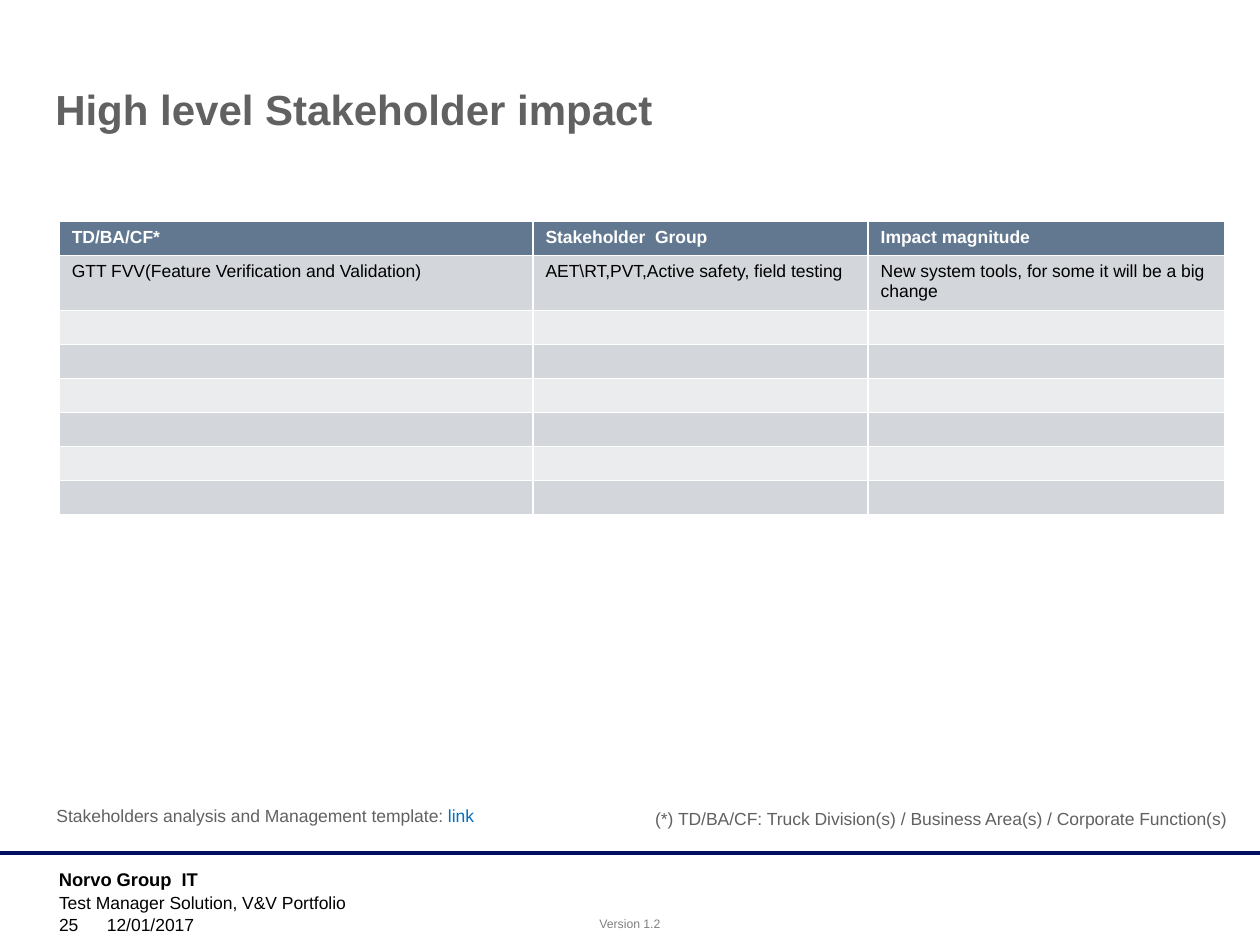
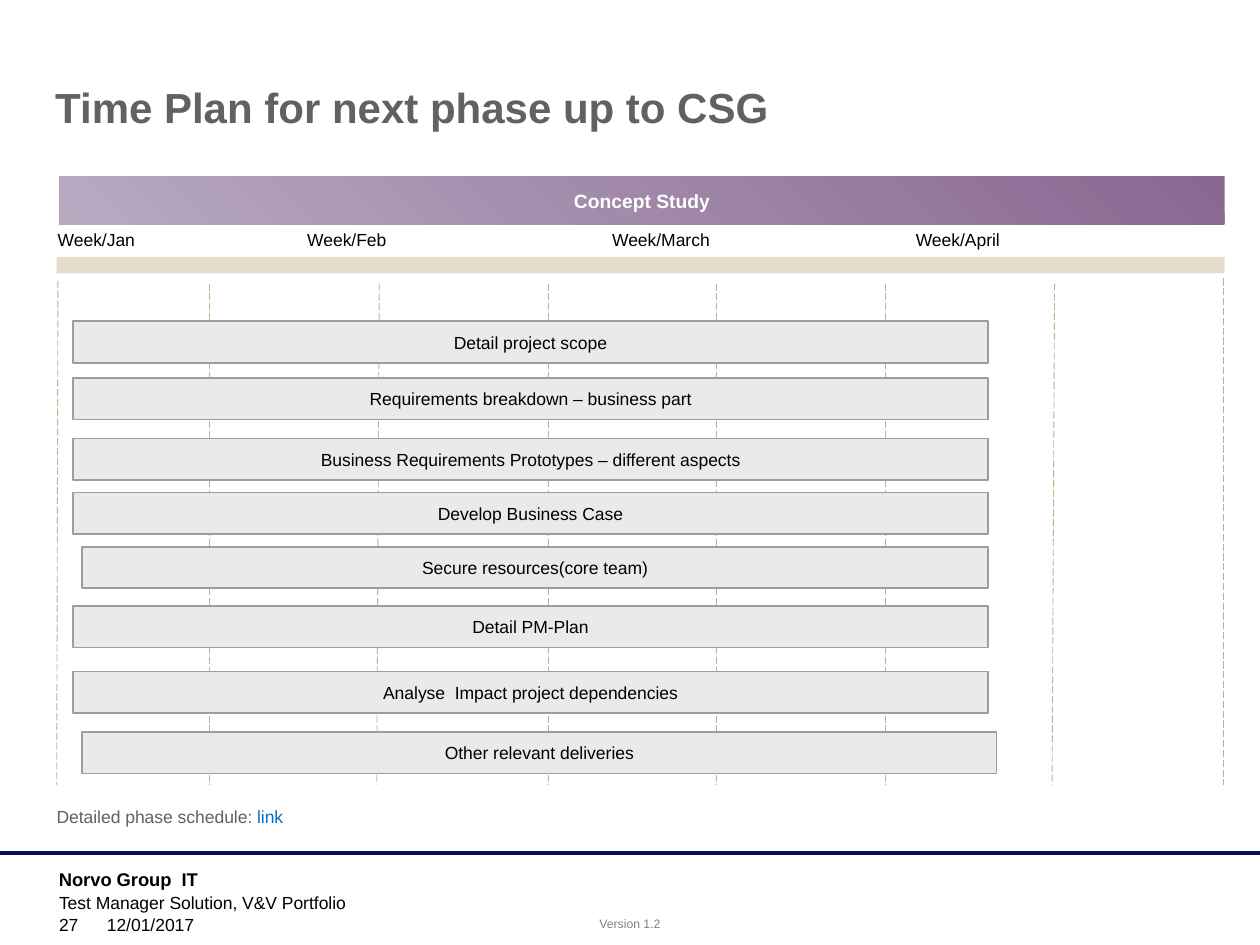
"""Build two project slides: a stakeholder impact table and a phase time plan."""
from lxml.etree import SubElement
from pptx import Presentation
from pptx.dml.color import RGBColor
from pptx.enum.dml import MSO_LINE
from pptx.enum.shapes import MSO_CONNECTOR, MSO_SHAPE
from pptx.enum.text import MSO_ANCHOR, PP_ALIGN
from pptx.oxml.ns import qn
from pptx.util import Inches, Pt

FONT = "Arial"
BLACK, WHITE, GREY, LINK = "000000", "FFFFFF", "616161", "0070C0"
NAVY, VERSION_GREY = "000F60", "808080"
HEADER_FILL, ROW_FILLS = "627890", ("D3D6DB", "EAECEE")
PHASE_COLOURS = ("B8A9C1", "8A6791")
TIMELINE_FILL, GUIDE_COLOUR = "E6DCCC", "C7B18B"
BAR_FILL, BAR_LINE = "EAEAEA", "9D9E9C"

COLUMN_WIDTHS = (3.76, 2.66, 2.83)
ROW_HEIGHTS = (0.27, 0.43) + (0.27,) * 6
STAKEHOLDERS = [
    ("TD/BA/CF*", "Stakeholder  Group", "Impact magnitude"),
    (
        "GTT FVV(Feature Verification and Validation)",
        "AET\\RT,PVT,Active safety, field testing",
        "New system tools, for some it will be a big change",
    ),
]
FOOTNOTE = "(*) TD/BA/CF: Truck Division(s) / Business Area(s) / Corporate Function(s)"

MONTHS = [
    ("Week/Jan", 0.36, 0.82),
    ("Week/Feb", 2.34, 0.84),
    ("Week/March", 4.76, 0.99),
    ("Week/April", 7.17, 0.92),
]
GUIDE_BOTTOM = 6.23
GUIDES = [
    (0.46, 2.23, 0.45),
    (1.66, 2.25, 1.66),
    (3.01, 2.25, 2.99),
    (4.35, 2.25, 4.35),
    (5.69, 2.25, 5.69),
    (7.03, 2.25, 7.03),
    (8.37, 2.25, 8.35),
    (9.71, 2.21, 9.71),
]
BAR_HEIGHT = 0.33
ACTIVITIES = [
    ("Detail project scope", 0.58, 2.55, 7.26),
    ("Requirements breakdown – business part", 0.58, 3.0, 7.26),
    ("Business Requirements Prototypes – different aspects", 0.58, 3.48, 7.26),
    ("Develop Business Case", 0.58, 3.91, 7.26),
    ("Secure resources(core team)", 0.65, 4.34, 7.19),
    ("Detail PM-Plan", 0.58, 4.81, 7.26),
    ("Analyse  Impact project dependencies", 0.58, 5.33, 7.26),
    ("Other relevant deliveries", 0.65, 5.81, 7.26),
]


def colour(value):
    """Turn a hex string into a colour."""
    return RGBColor.from_string(value)


def write(frame, *parts, size=10, ink=BLACK, bold=False, align=PP_ALIGN.LEFT,
          anchor=MSO_ANCHOR.TOP, wrap=True, before=0):
    """Write one paragraph; a part is a text or a (text, ink) pair."""
    frame.word_wrap = wrap
    frame.vertical_anchor = anchor
    para = frame.paragraphs[0]
    para.alignment = align
    para.space_before = Pt(before)
    for part in parts:
        text, part_ink = (part, ink) if isinstance(part, str) else part
        span = para.add_run()
        span.text = text
        span.font.name, span.font.size, span.font.bold = FONT, Pt(size), bold
        span.font.color.rgb = colour(part_ink)


def add_text(page, place, *parts, **style):
    """Add a text box at left, top, width, height."""
    box = page.shapes.add_textbox(*map(Inches, place))
    write(box.text_frame, *parts, **style)


def add_block(page, place, fill=None, line=None):
    """Add a flat rectangle with an optional outline."""
    block = page.shapes.add_shape(MSO_SHAPE.RECTANGLE, *map(Inches, place))
    block.shadow.inherit = False
    if fill:
        block.fill.solid()
        block.fill.fore_color.rgb = colour(fill)
    if line:
        block.line.color.rgb = colour(line)
        block.line.width = Pt(1)
    else:
        block.line.fill.background()
    return block


def add_line(page, start, end, ink, width, dash=None):
    """Add a straight line without a shadow."""
    line = page.shapes.add_connector(
        MSO_CONNECTOR.STRAIGHT, *map(Inches, start + end))
    line.line.color.rgb = colour(ink)
    line.line.width = Pt(width)
    if dash:
        line.line.dash_style = dash
    SubElement(line._element.spPr, qn("a:effectLst"))


def add_page(deck, title, title_place, number):
    """Add a page with its title and the shared footer."""
    page = deck.slides.add_slide(deck.slide_layouts[6])
    add_line(page, (0, 6.77), (10, 6.77), NAVY, 2)
    add_text(page, (0.37, 6.84, 2.33, 0.24), "Norvo Group  IT", size=10.5, bold=True)
    add_text(page, (4.65, 7.22, 0.7, 0.22), "Version 1.2", size=7,
             ink=VERSION_GREY, align=PP_ALIGN.CENTER, wrap=False)
    add_text(page, (0.37, 7.03, 7.52, 0.24), "Test Manager Solution, V&V Portfolio")
    add_text(page, (0.37, 7.24, 0.55, 0.23), number, anchor=MSO_ANCHOR.BOTTOM)
    add_text(page, (0.75, 7.24, 2.63, 0.23), "12/01/2017", anchor=MSO_ANCHOR.BOTTOM)
    add_text(page, title_place, title, size=24, ink=GREY, bold=True)
    return page


def border_cell(cell):
    """Draw white borders on the four sides of a cell."""
    properties = cell._tc.get_or_add_tcPr()
    for edge in ("a:lnL", "a:lnR", "a:lnT", "a:lnB"):
        line = SubElement(properties, qn(edge), w=str(Pt(1)))
        fill = SubElement(line, qn("a:solidFill"))
        SubElement(fill, qn("a:srgbClr"), val=WHITE)


def add_stakeholder_table(page):
    """Add the table with a dark header and alternating rows."""
    place = (0.47, 1.76, sum(COLUMN_WIDTHS), sum(ROW_HEIGHTS))
    table = page.shapes.add_table(
        len(ROW_HEIGHTS), len(COLUMN_WIDTHS), *map(Inches, place)).table
    for column, width in zip(table.columns, COLUMN_WIDTHS):
        column.width = Inches(width)
    for index, height in enumerate(ROW_HEIGHTS):
        row = table.rows[index]
        row.height = Inches(height)
        header = index == 0
        for position, cell in enumerate(row.cells):
            border_cell(cell)
            cell.fill.solid()
            cell.fill.fore_color.rgb = colour(
                HEADER_FILL if header else ROW_FILLS[(index - 1) % 2])
            if index < len(STAKEHOLDERS):
                write(cell.text_frame, STAKEHOLDERS[index][position],
                      ink=WHITE if header else BLACK, bold=header)
            else:
                para = cell.text_frame.paragraphs[0]
                para._p.get_or_add_endParaRPr().set("sz", "1000")


def add_phase_banner(page):
    """Add the phase banner, shaded outwards from its lower left corner."""
    banner = add_block(page, (0.47, 1.4, 9.25, 0.38))
    banner.fill.gradient()
    for stop, shade in zip(banner.fill.gradient_stops, PHASE_COLOURS):
        stop.color.rgb = colour(shade)
    gradient = banner._element.spPr.find(qn("a:gradFill"))
    gradient.remove(gradient.find(qn("a:lin")))
    shading = SubElement(gradient, qn("a:path"), path="circle")
    SubElement(shading, qn("a:fillToRect"), t="100000", r="100000")
    frame = banner.text_frame
    frame.margin_left = frame.margin_right = frame.margin_top = frame.margin_bottom = 0
    write(frame, "Concept Study", size=11, ink=WHITE, bold=True,
          align=PP_ALIGN.CENTER, anchor=MSO_ANCHOR.MIDDLE)


def build_stakeholder_page(deck):
    """Build the stakeholder impact page."""
    page = add_page(deck, "High level Stakeholder impact", (0.34, 0.61, 9.39, 0.84), "25")
    add_stakeholder_table(page)
    add_text(page, (5.05, 6.36, 4.78, 0.27), FOOTNOTE, ink=GREY,
             align=PP_ALIGN.RIGHT, wrap=False)
    add_text(page, (0.35, 6.34, 3.54, 0.27),
             "Stakeholders analysis and Management template: ", ("link", LINK),
             ink=GREY, wrap=False)


def build_time_plan_page(deck):
    """Build the time plan page."""
    page = add_page(deck, "Time Plan for next phase up to CSG", (0.34, 0.6, 9.17, 0.84), "27")
    add_phase_banner(page)
    add_text(page, (0.35, 6.35, 2.01, 0.27), "Detailed phase schedule: ",
             ("link", LINK), ink=GREY, wrap=False, before=3)
    add_block(page, (0.45, 2.04, 9.27, 0.13), TIMELINE_FILL)
    for top_x, top, bottom_x in GUIDES:
        add_line(page, (top_x, top), (bottom_x, GUIDE_BOTTOM),
                 GUIDE_COLOUR, 0.5, MSO_LINE.LONG_DASH)
    for month, left, width in MONTHS:
        add_text(page, (left, 1.77, width, 0.27), month, wrap=False)
    for activity, left, top, width in ACTIVITIES:
        bar = add_block(page, (left, top, width, BAR_HEIGHT), BAR_FILL, BAR_LINE)
        write(bar.text_frame, activity, align=PP_ALIGN.CENTER,
              anchor=MSO_ANCHOR.MIDDLE, wrap=False)


def main():
    """Build and save the deck."""
    deck = Presentation()
    deck.slide_width, deck.slide_height = Inches(10), Inches(7.5)
    build_stakeholder_page(deck)
    build_time_plan_page(deck)
    deck.save("out.pptx")


if __name__ == "__main__":
    main()
